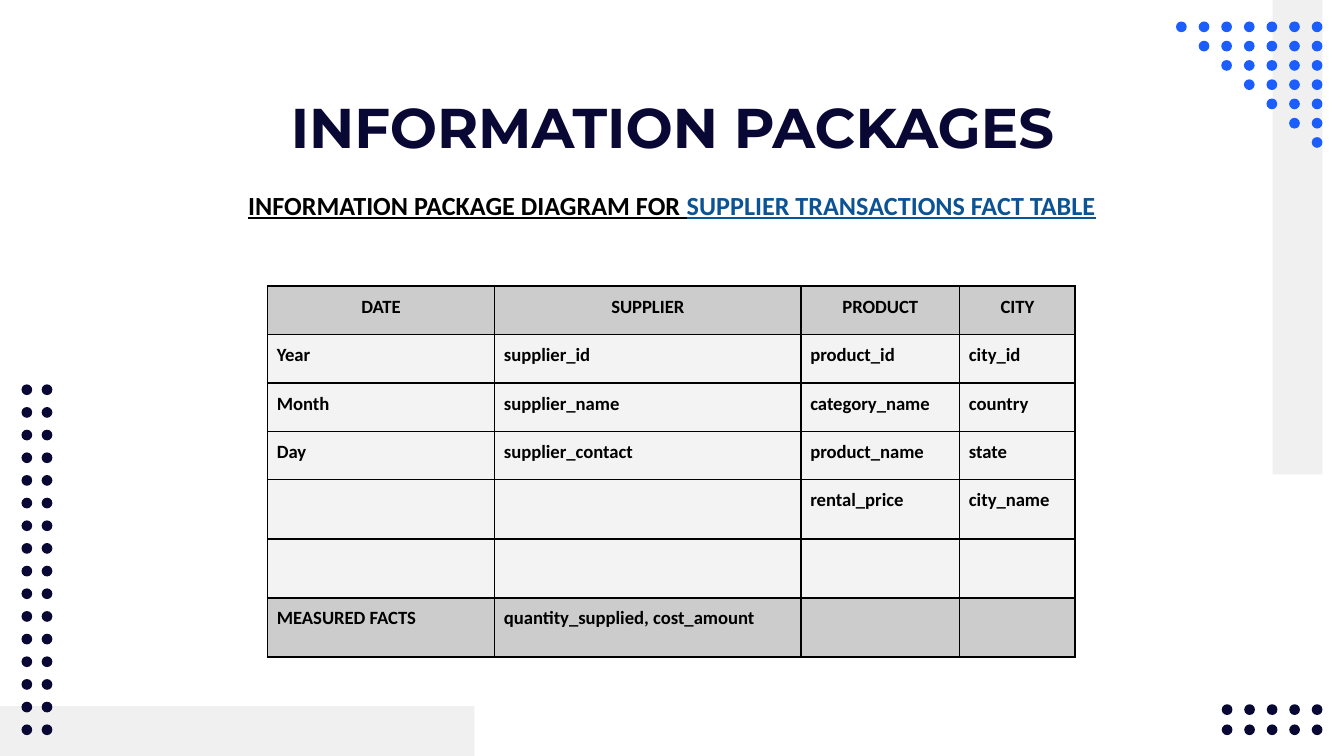
"""Build the information package slide for the supplier transactions fact table."""
from lxml import etree
from pptx import Presentation
from pptx.dml.color import RGBColor
from pptx.enum.shapes import MSO_SHAPE
from pptx.enum.text import MSO_ANCHOR, PP_ALIGN
from pptx.oxml.ns import qn
from pptx.util import Inches, Pt

RECTANGLE, OVAL = MSO_SHAPE.RECTANGLE, MSO_SHAPE.OVAL
CENTER, LEFT = PP_ALIGN.CENTER, PP_ALIGN.LEFT
TOP, MIDDLE = MSO_ANCHOR.TOP, MSO_ANCHOR.MIDDLE

COLORS = {
    "navy": "090835", "blue": "1C5DFD", "link": "0B5394", "black": "000000",
    "bar": "F0F0F0", "band": "CCCCCC", "body": "F3F3F3",
}
TITLE = [("INFORMATION PACKAGES", "navy")]
SUBTITLE = [
    ("INFORMATION PACKAGE DIAGRAM FOR ", "black"),
    ("SUPPLIER TRANSACTIONS FACT TABLE", "link"),
]
PACKAGE = [
    ("DATE", "SUPPLIER", "PRODUCT", "CITY"),
    ("Year", "supplier_id", "product_id", "city_id"),
    ("Month", "supplier_name", "category_name", "country"),
    ("Day", "supplier_contact", "product_name", "state"),
    ("", "", "rental_price", "city_name"),
    ("", "", "", ""),
    ("MEASURED FACTS", "quantity_supplied, cost_amount", "", ""),
]
SLIDE_W = 10
SLIDE_H = SLIDE_W * 9 / 16
BAR_LENGTH, BAR_WIDTH = 3.53, 0.37
BARS = [
    (0, SLIDE_H - BAR_WIDTH, BAR_LENGTH, BAR_WIDTH),
    (9.47, 0, BAR_WIDTH, BAR_LENGTH),
]
DOT = 0.08
DOT_GRIDS = [
    ("blue", (8.75, 9.76, 7), (0.16, 1.02, 7), True),
    ("navy", (0.16, 0.31, 2), (2.86, 5.39, 16), False),
    ("navy", (9.09, 9.76, 5), (5.24, 5.39, 2), False),
]
TABLE_LEFT, TABLE_TOP = 1.99, 2.13
COLUMN_WIDTHS = [1.69, 2.28, 1.18, 0.86]
ROW_HEIGHTS = [0.36] * 4 + [0.42] * 3
CELL_INSET = 0.07

presentation = Presentation()
presentation.slide_width, presentation.slide_height = Inches(SLIDE_W), Inches(SLIDE_H)
slide = presentation.slides.add_slide(presentation.slide_layouts[6])


def rgb(name):
    return RGBColor.from_string(COLORS[name])


def inches(*lengths):
    return [Inches(length) for length in lengths]


def spread(first, last, count):
    return [first + (last - first) * i / (count - 1) for i in range(count)]


def set_font(font, face, size, color, underline=None):
    font.name, font.size, font.bold = face, Pt(size), True
    font.underline = underline
    font.color.rgb = rgb(color)


def add_plain(kind, box, color):
    plain = slide.shapes.add_shape(kind, *inches(*box))
    plain.shadow.inherit = False
    plain.fill.solid()
    plain.fill.fore_color.rgb = rgb(color)
    plain.line.fill.background()


def add_heading(parts, box, face, size, anchor, underline=None):
    frame = slide.shapes.add_textbox(*inches(*box)).text_frame
    frame.word_wrap, frame.vertical_anchor = True, anchor
    frame.margin_left = frame.margin_right = Inches(0.1)
    frame.margin_top = frame.margin_bottom = Inches(0.1)
    paragraph = frame.paragraphs[0]
    paragraph.alignment = CENTER
    for words, color in parts:
        run = paragraph.add_run()
        run.text = words
        set_font(run.font, face, size, color, underline)


def add_borders(cell):
    properties = cell._tc.get_or_add_tcPr()
    for position, side in enumerate(("a:lnL", "a:lnR", "a:lnT", "a:lnB")):
        border = etree.Element(qn(side), w=str(Pt(1)))
        paint = etree.SubElement(border, qn("a:solidFill"))
        etree.SubElement(paint, qn("a:srgbClr"), val=COLORS["black"])
        properties.insert(position, border)


def add_package_table():
    box = (TABLE_LEFT, TABLE_TOP, sum(COLUMN_WIDTHS), sum(ROW_HEIGHTS))
    table = slide.shapes.add_table(len(PACKAGE), len(COLUMN_WIDTHS), *inches(*box)).table
    for column, width in zip(table.columns, COLUMN_WIDTHS):
        column.width = Inches(width)
    for row, height in zip(table.rows, ROW_HEIGHTS):
        row.height = Inches(height)
    for r, entries in enumerate(PACKAGE):
        for c, entry in enumerate(entries):
            cell = table.cell(r, c)
            cell.margin_left = cell.margin_right = Inches(CELL_INSET)
            cell.margin_top = cell.margin_bottom = Inches(CELL_INSET)
            cell.fill.solid()
            cell.fill.fore_color.rgb = rgb("band" if r in (0, len(PACKAGE) - 1) else "body")
            add_borders(cell)
            paragraph = cell.text_frame.paragraphs[0]
            paragraph.text = entry
            paragraph.alignment = LEFT if r else CENTER
            for run in paragraph.runs:
                set_font(run.font, "Calibri", 10, "black")


for bar in BARS:
    add_plain(RECTANGLE, bar, "bar")
for color, across, down, triangular in DOT_GRIDS:
    for r, y in enumerate(spread(*down)):
        for x in spread(*across)[r if triangular else 0:]:
            add_plain(OVAL, (x, y, DOT, DOT), color)
add_heading(TITLE, (0.79, 0.59, 8.43, 0.63), "Montserrat", 30, TOP)
add_heading(SUBTITLE, (1.63, 1.21, 6.74, 0.63), "Calibri", 14, MIDDLE, True)
add_package_table()
presentation.save("out.pptx")
